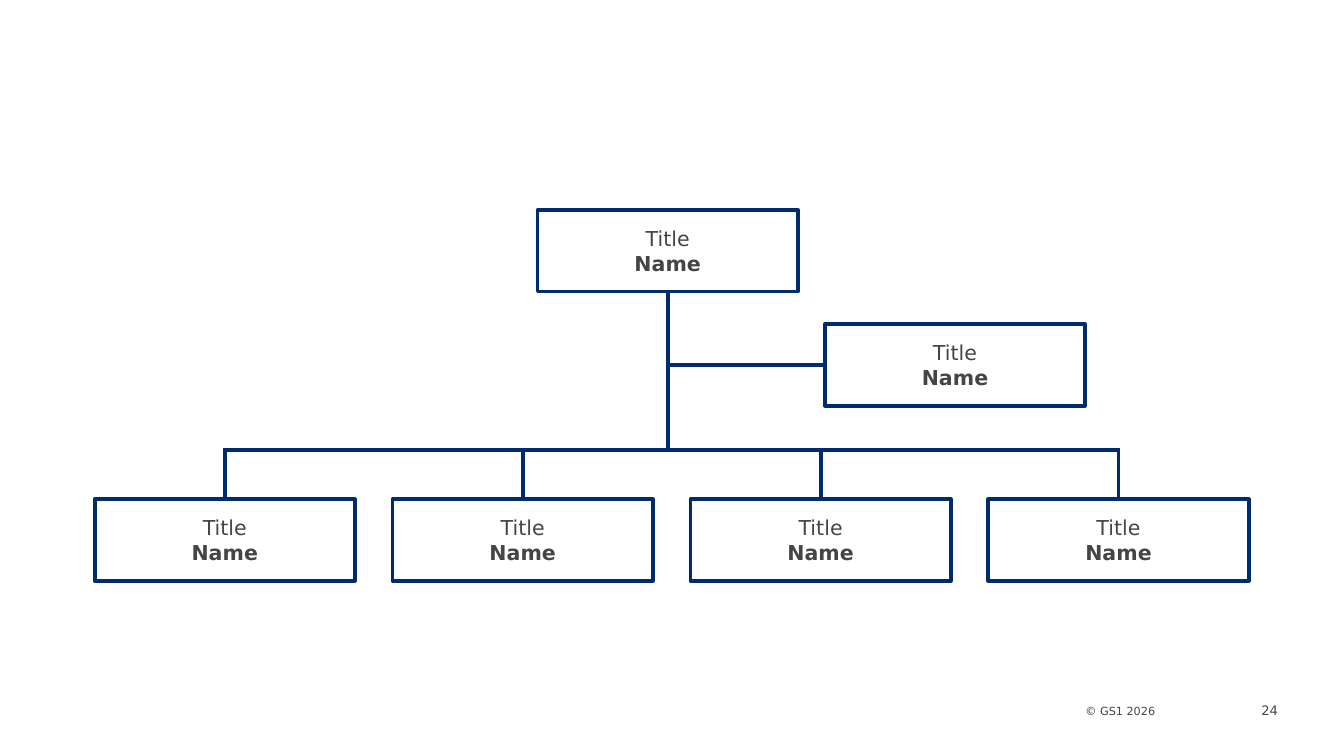
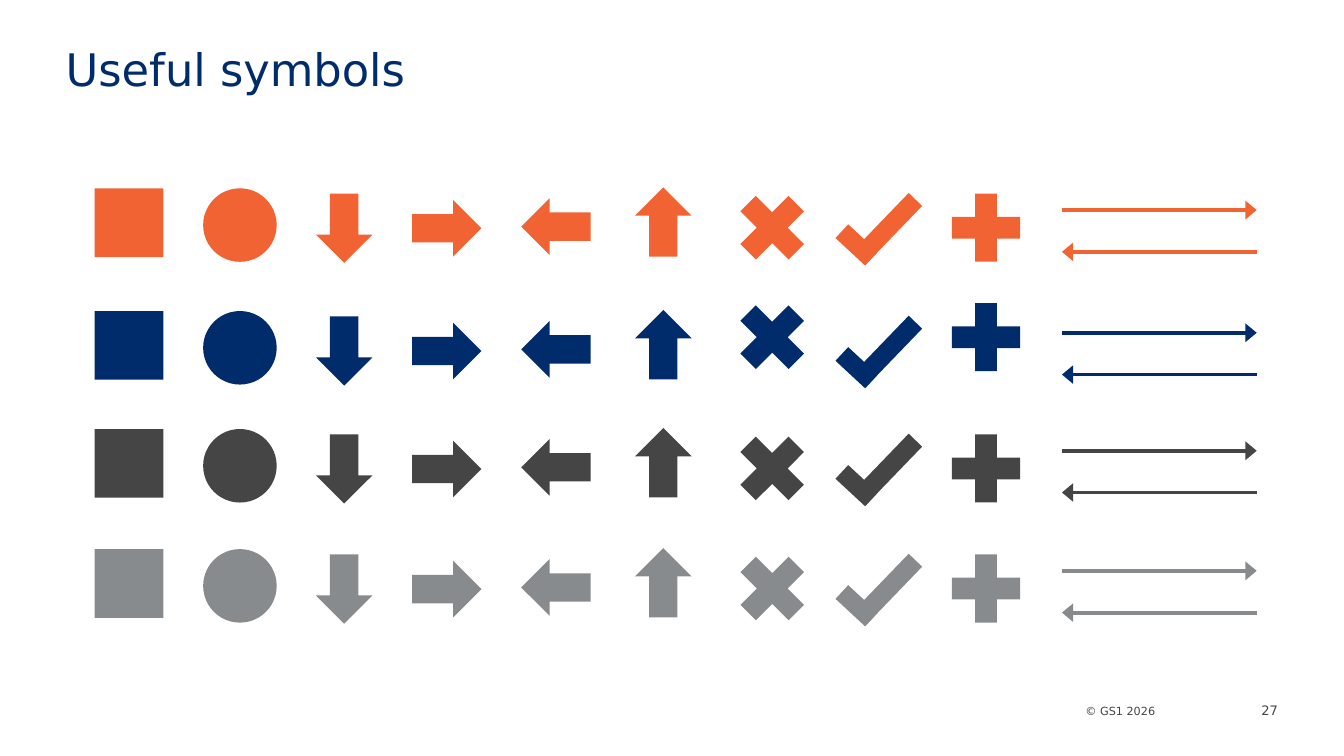
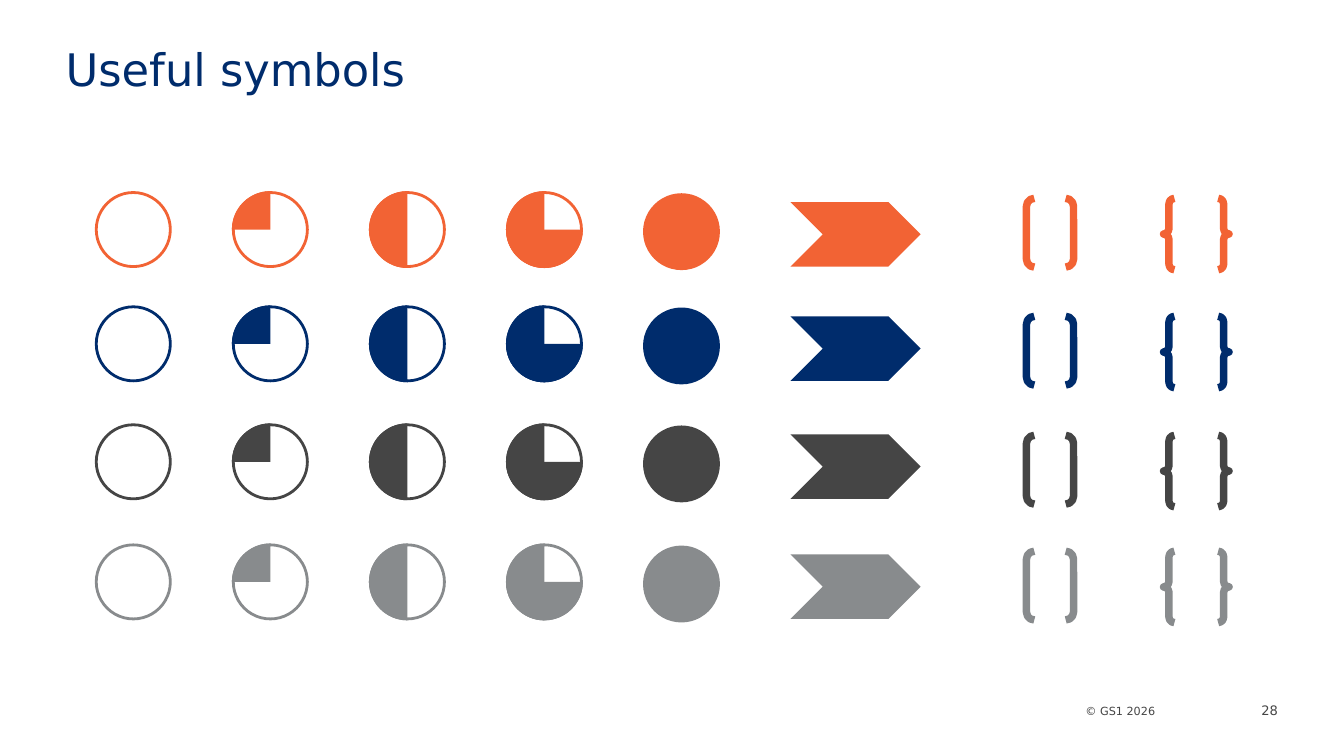
import copy
import math
from dataclasses import dataclass
from typing import Optional, Union

from lxml import etree
from pptx import Presentation
from pptx import util as u
from pptx.dml.color import RGBColor
from pptx.enum import shapes, text
from pptx.oxml import ns
from pptx.shapes.autoshape import Shape
from pptx.shapes.shapetree import GroupShapes, SlideShapes
from pptx.slide import Slide
from pptx.text.text import TextFrame

ORANGE = RGBColor(0xF2, 0x63, 0x34)
NAVY = RGBColor(0x00, 0x2C, 0x6C)
CHARCOAL = RGBColor(0x45, 0x45, 0x45)
GREY = RGBColor(0x88, 0x8B, 0x8D)
WHITE = RGBColor(0xFF, 0xFF, 0xFF)
ROW_COLORS = (ORANGE, NAVY, CHARCOAL, GREY)

FONT = "DejaVu Sans"
COPYRIGHT = "© GS1 2026"
TITLE_ONLY, BLANK = 5, 6
QUARTER_CURVE = 0.55
PRESET = shapes.MSO_SHAPE
ALIGN = text.PP_ALIGN
ANCHOR = text.MSO_ANCHOR
Canvas = Union[SlideShapes, GroupShapes]


@dataclass(frozen=True)
class Box:
    left: float
    top: float
    width: float
    height: float

    @property
    def center(self) -> float:
        return self.left + self.width / 2

    @property
    def bottom(self) -> float:
        return self.top + self.height


@dataclass(frozen=True)
class Symbol:
    preset: PRESET
    box: Box
    rotation: float = 0
    line_width: float = 0
    filled: bool = True


@dataclass(frozen=True)
class Stroke:
    x1: float
    y1: float
    x2: float
    y2: float
    width: float = 2
    arrow: bool = False


@dataclass(frozen=True)
class Sector:
    angles: tuple[int, ...]
    to_center: bool = False
    turned_down: bool = False


ROW_TOPS = (3.56, 5.88, 8.11, 10.38)
SYMBOLS = (
    Symbol(PRESET.RECTANGLE, Box(1.79, 0, 1.3, 1.3)),
    Symbol(PRESET.OVAL, Box(3.84, 0, 1.39, 1.39)),
    Symbol(PRESET.DOWN_ARROW, Box(5.97, 0.1, 1.07, 1.31)),
    Symbol(PRESET.DOWN_ARROW, Box(7.91, 0.1, 1.07, 1.31), 270),
    Symbol(PRESET.DOWN_ARROW, Box(9.97, 0.07, 1.07, 1.31), 90),
    Symbol(PRESET.DOWN_ARROW, Box(12, -0.02, 1.07, 1.31), 180),
)
SIGNS = (
    Symbol(PRESET.MATH_MULTIPLY, Box(13.72, -0.13, 1.75, 1.75)),
    Symbol(PRESET.MATH_PLUS, Box(17.76, -0.13, 1.75, 1.75)),
)
NAVY_SIGN_LIFT = 0.25
CHECK_MARK = (
    Stroke(15.91, 0.81, 16.47, 1.33, 10),
    Stroke(16.23, 1.32, 17.3, 0.21, 10),
)
LONG_ARROWS = (
    Stroke(20.07, 0.41, 23.75, 0.41, arrow=True),
    Stroke(23.75, 1.2, 20.07, 1.2, arrow=True),
)

DIAL_TOPS = (3.64, 5.8, 8.03, 10.3)
DIAL_LEFT, DIAL_STEP, DIAL_SIZE = 1.82, 2.59, 1.4
HALF_TURN = (270, 180, 90)
DIALS = (
    (),
    (Sector((270, 180), to_center=True),),
    (Sector(HALF_TURN),),
    (Sector(HALF_TURN), Sector(HALF_TURN, turned_down=True)),
)
MARKS = (
    Symbol(PRESET.OVAL, Box(DIAL_LEFT + 4 * DIAL_STEP, 0.04, DIAL_SIZE, DIAL_SIZE), line_width=1.5),
    Symbol(PRESET.CHEVRON, Box(14.94, 0.18, 2.46, 1.22)),
)
PAIR_TOPS = (3.75, 5.98, 8.23, 10.42)
PAIRS = (
    Symbol(PRESET.DOUBLE_BRACKET, Box(19.4, 0, 0.89, 1.3), line_width=4, filled=False),
    Symbol(PRESET.DOUBLE_BRACE, Box(21.99, 0, 1.24, 1.35), line_width=4, filled=False),
)


def write(frame: TextFrame, lines: tuple[str, ...], size: float, color: RGBColor,
          align: ALIGN, anchor: ANCHOR = ANCHOR.MIDDLE) -> None:
    frame.word_wrap = True
    frame.vertical_anchor = anchor
    for index, line in enumerate(lines):
        paragraph = frame.add_paragraph() if index else frame.paragraphs[0]
        paragraph.text = line
        paragraph.alignment = align
        paragraph.font.name = FONT
        paragraph.font.size = u.Pt(size)
        paragraph.font.color.rgb = color
        paragraph.font.bold = index > 0


def set_margins(frame: TextFrame, top: float = 0, right: float = 0, bottom: float = 0) -> None:
    frame.margin_left = 0
    frame.margin_top, frame.margin_right, frame.margin_bottom = u.Cm(top), u.Cm(right), u.Cm(bottom)


def place(box: Box) -> tuple[u.Length, ...]:
    return u.Cm(box.left), u.Cm(box.top), u.Cm(box.width), u.Cm(box.height)


def paint(shape: Shape, fill: Optional[RGBColor], line: RGBColor, width: float) -> None:
    shape.shadow.inherit = False
    if fill is None:
        shape.fill.background()
    else:
        shape.fill.solid()
        shape.fill.fore_color.rgb = fill
    if width:
        shape.line.color.rgb = line
        shape.line.width = u.Pt(width)
    else:
        shape.line.fill.background()


def add_symbol(canvas: Canvas, symbol: Symbol, top: float, color: RGBColor) -> None:
    box = symbol.box
    shape = canvas.add_shape(symbol.preset, *place(Box(box.left, top + box.top, box.width, box.height)))
    shape.rotation = symbol.rotation
    paint(shape, color if symbol.filled else None, color, symbol.line_width)


def add_stroke(canvas: Canvas, stroke: Stroke, top: float, color: RGBColor) -> None:
    connector = canvas.add_connector(
        shapes.MSO_CONNECTOR.STRAIGHT,
        u.Cm(stroke.x1), u.Cm(top + stroke.y1), u.Cm(stroke.x2), u.Cm(top + stroke.y2))
    connector.line.color.rgb = color
    connector.line.width = u.Pt(stroke.width)
    properties = connector._element.spPr
    if stroke.arrow:
        etree.SubElement(properties.find(ns.qn("a:ln")), ns.qn("a:tailEnd"), type="triangle", w="lg")
    etree.SubElement(properties, ns.qn("a:effectLst"))


def add_point(parent: etree._Element, x: float, y: float) -> None:
    etree.SubElement(parent, ns.qn("a:pt"), x=str(round(x)), y=str(round(y)))


def round_segments(outline: etree._Element, points: list[tuple[int, int]], center: tuple[int, int]) -> None:
    segments = outline.findall(ns.qn("a:lnTo"))
    for segment, start, end in zip(segments, points, points[1:]):
        corner = [a + b - c for a, b, c in zip(start, end, center)]
        curve = etree.Element(ns.qn("a:cubicBezTo"))
        for anchor in (start, end):
            add_point(curve, *(a + QUARTER_CURVE * (b - a) for a, b in zip(anchor, corner)))
        add_point(curve, *end)
        outline.replace(segment, curve)


def add_sector(canvas: Canvas, sector: Sector, box: Box, color: RGBColor) -> None:
    radius = u.Cm(box.width / 2)
    center_x, center_y = u.Cm(box.left) + radius, u.Cm(box.top) + radius
    points = [
        (center_x + round(radius * math.cos(math.radians(angle))),
         center_y + round(radius * math.sin(math.radians(angle))))
        for angle in sector.angles
    ]
    builder = canvas.build_freeform(*points[0])
    builder.add_line_segments(points[1:], close=False)
    shape = builder.convert_to_shape()
    paint(shape, color, color, 1.5)

    outline = shape._element.spPr.find(".//" + ns.qn("a:path"))
    local_points = [(x - shape.left, y - shape.top) for x, y in points]
    local_center = (center_x - shape.left, center_y - shape.top)
    round_segments(outline, local_points, local_center)
    if sector.to_center:
        wedge = copy.deepcopy(outline)
        outline.set("fill", "none")
        wedge.set("stroke", "0")
        add_point(etree.SubElement(wedge, ns.qn("a:lnTo")), *local_center)
        etree.SubElement(wedge, ns.qn("a:close"))
        outline.addnext(wedge)
    if sector.turned_down:
        shape.left += radius // 2
        shape.top += radius // 2
        shape.rotation = 270


def add_dial(slide: Slide, sectors: tuple[Sector, ...], box: Box, color: RGBColor) -> None:
    canvas = slide.shapes.add_group_shape().shapes if sectors else slide.shapes
    ring = canvas.add_shape(PRESET.OVAL, *place(box))
    paint(ring, WHITE, color, 1.5)
    for sector in sectors:
        add_sector(canvas, sector, box, color)


def add_slide(presentation: Presentation, number: int, title: str = "") -> Slide:
    slide = presentation.slides.add_slide(presentation.slide_layouts[TITLE_ONLY if title else BLANK])
    footers = (
        (COPYRIGHT, Box(14.13, 13.31, 7.7, 0.28), 6, ANCHOR.TOP),
        (str(number), Box(23.46, 13.23, 0.69, 0.41), 7, ANCHOR.MIDDLE),
    )
    for words, box, size, anchor in footers:
        frame = slide.shapes.add_textbox(*place(box)).text_frame
        set_margins(frame)
        write(frame, (words,), size, CHARCOAL, ALIGN.RIGHT, anchor)
    if title:
        heading = slide.shapes.title
        heading.left, heading.top, heading.width, heading.height = place(Box(1.24, 0.42, 22.86, 1.88))
        frame = heading.text_frame
        frame.auto_size = text.MSO_AUTO_SIZE.NONE
        set_margins(frame, 0.13, 0.25, 0.13)
        write(frame, (title,), 24, NAVY, ALIGN.LEFT)
        frame.paragraphs[0].line_spacing = 0.9
    return slide


def build_organisation(presentation: Presentation) -> None:
    canvas = add_slide(presentation, 24).shapes.add_group_shape().shapes
    width, height = 4.92, 1.54
    head = Box(10.16, 3.97, width, height)
    assistant = Box(15.59, 6.13, width, height)
    team = [Box(1.79 + 5.63 * column, 9.44, width, height) for column in range(4)]
    bus, overhang = 8.51, 0.03
    branch = assistant.top + height / 2
    strokes = [
        Stroke(head.center, head.bottom, head.center, bus),
        Stroke(assistant.left, branch, head.center, branch),
        Stroke(team[-1].center + overhang, bus, team[0].center - overhang, bus),
        *(Stroke(member.center, bus, member.center, member.top) for member in team),
    ]
    for stroke in strokes:
        add_stroke(canvas, stroke, 0, NAVY)
    for box in (head, assistant, *team):
        shape = canvas.add_shape(PRESET.RECTANGLE, *place(box))
        paint(shape, None, NAVY, 2)
        write(shape.text_frame, ("Title", "Name"), 11, CHARCOAL, ALIGN.CENTER)


def build_symbols(presentation: Presentation) -> None:
    slide = add_slide(presentation, 27, "Useful symbols")
    for top, color in zip(ROW_TOPS, ROW_COLORS):
        for symbol in SYMBOLS:
            add_symbol(slide.shapes, symbol, top, color)
        for sign in SIGNS:
            add_symbol(slide.shapes, sign, top - (NAVY_SIGN_LIFT if color == NAVY else 0), color)
        for arrow in LONG_ARROWS:
            add_stroke(slide.shapes, arrow, top, color)
        check = slide.shapes.add_group_shape().shapes
        for stroke in CHECK_MARK:
            add_stroke(check, stroke, top, color)


def build_dials(presentation: Presentation) -> None:
    slide = add_slide(presentation, 28, "Useful symbols")
    for top, pair_top, color in zip(DIAL_TOPS, PAIR_TOPS, ROW_COLORS):
        for column, sectors in enumerate(DIALS):
            box = Box(DIAL_LEFT + column * DIAL_STEP, top, DIAL_SIZE, DIAL_SIZE)
            add_dial(slide, sectors, box, color)
        for mark in MARKS:
            add_symbol(slide.shapes, mark, top, color)
        for pair in PAIRS:
            add_symbol(slide.shapes, pair, pair_top, color)


def main() -> None:
    presentation = Presentation()
    presentation.slide_width = u.Cm(25.4)
    presentation.slide_height = u.Cm(14.29)
    build_organisation(presentation)
    build_symbols(presentation)
    build_dials(presentation)
    presentation.save("out.pptx")


if __name__ == "__main__":
    main()
